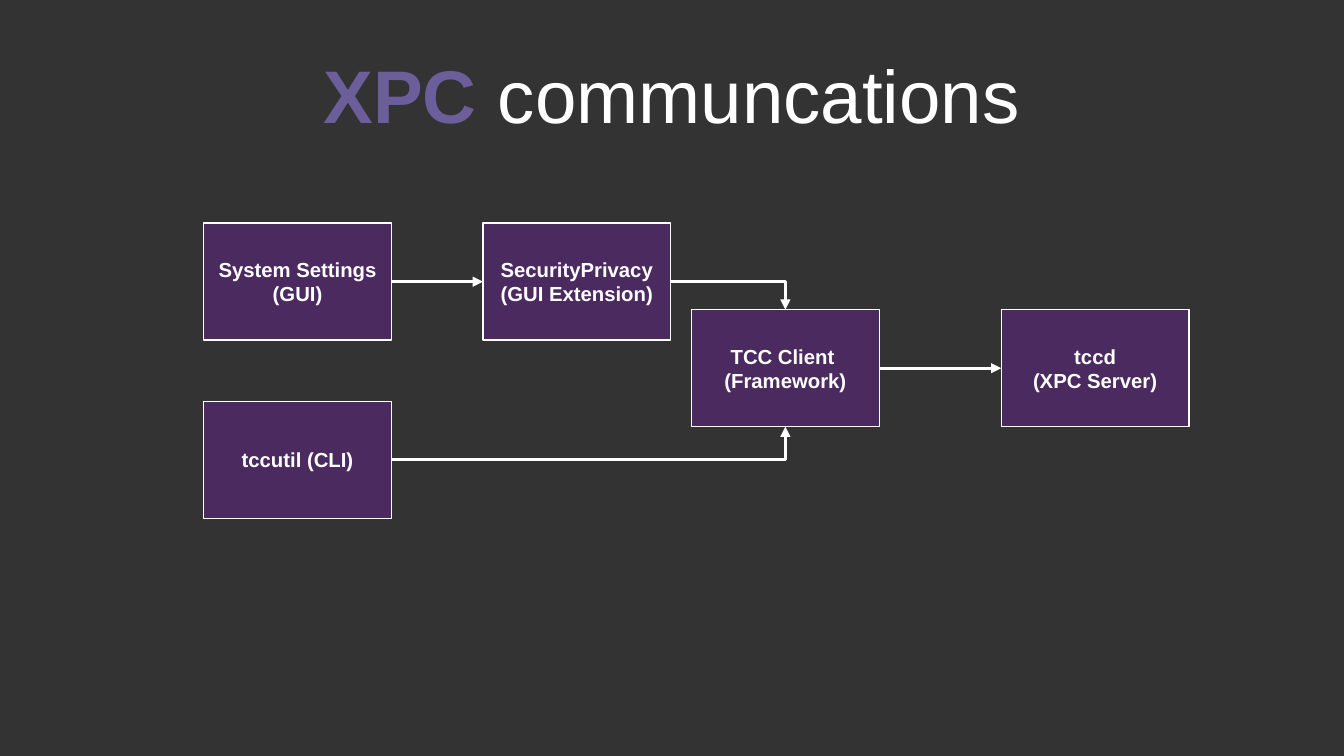
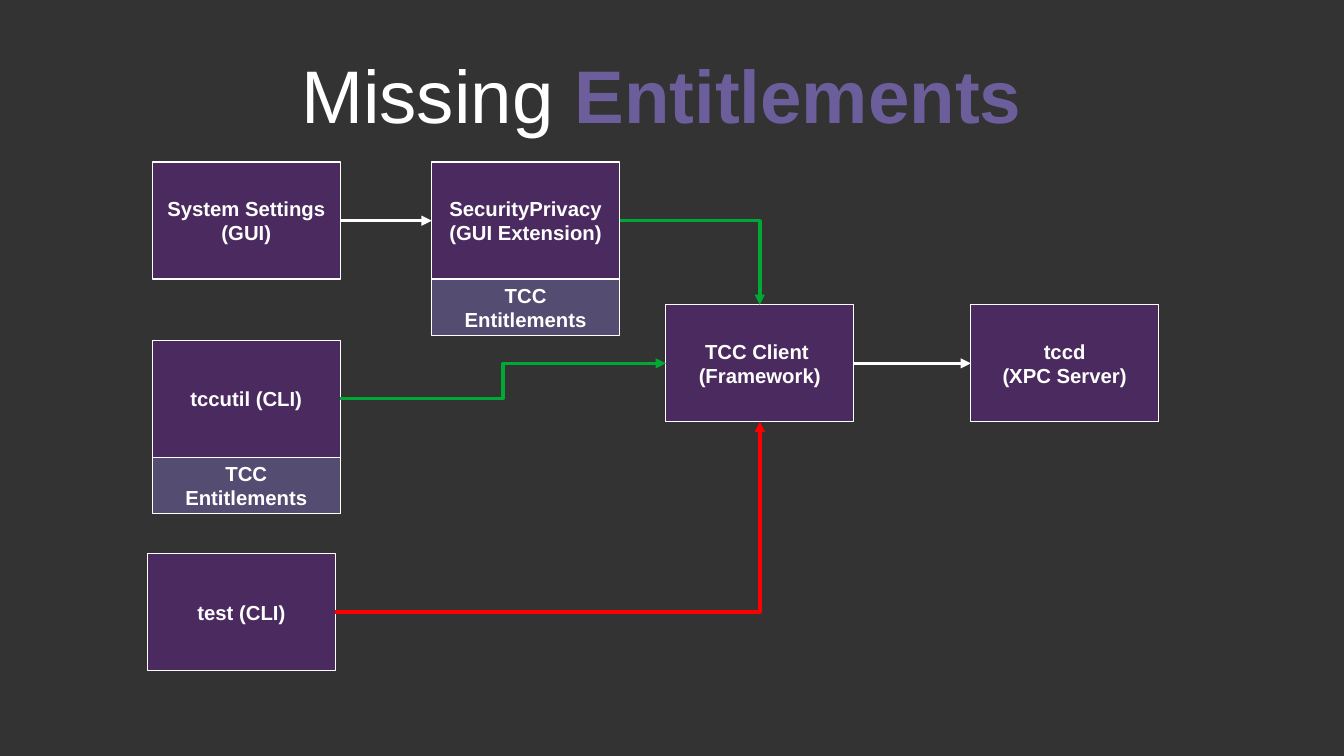
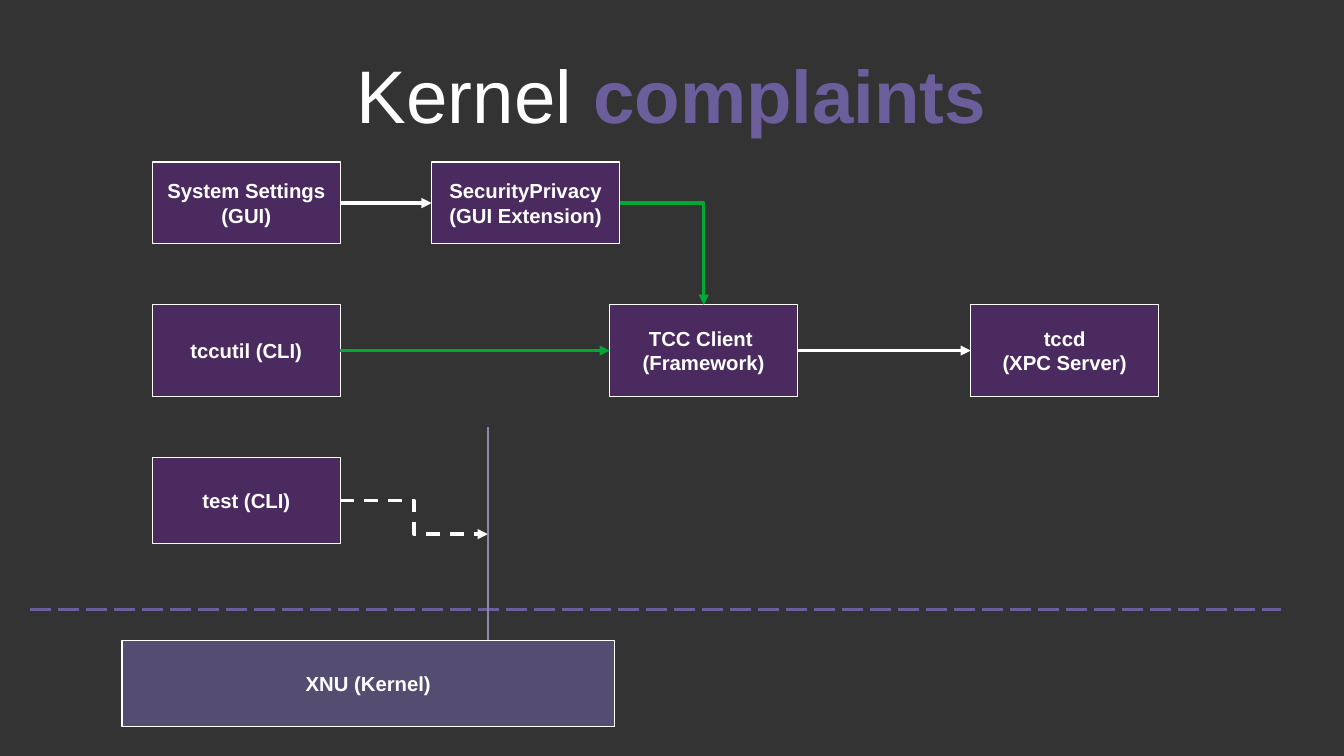
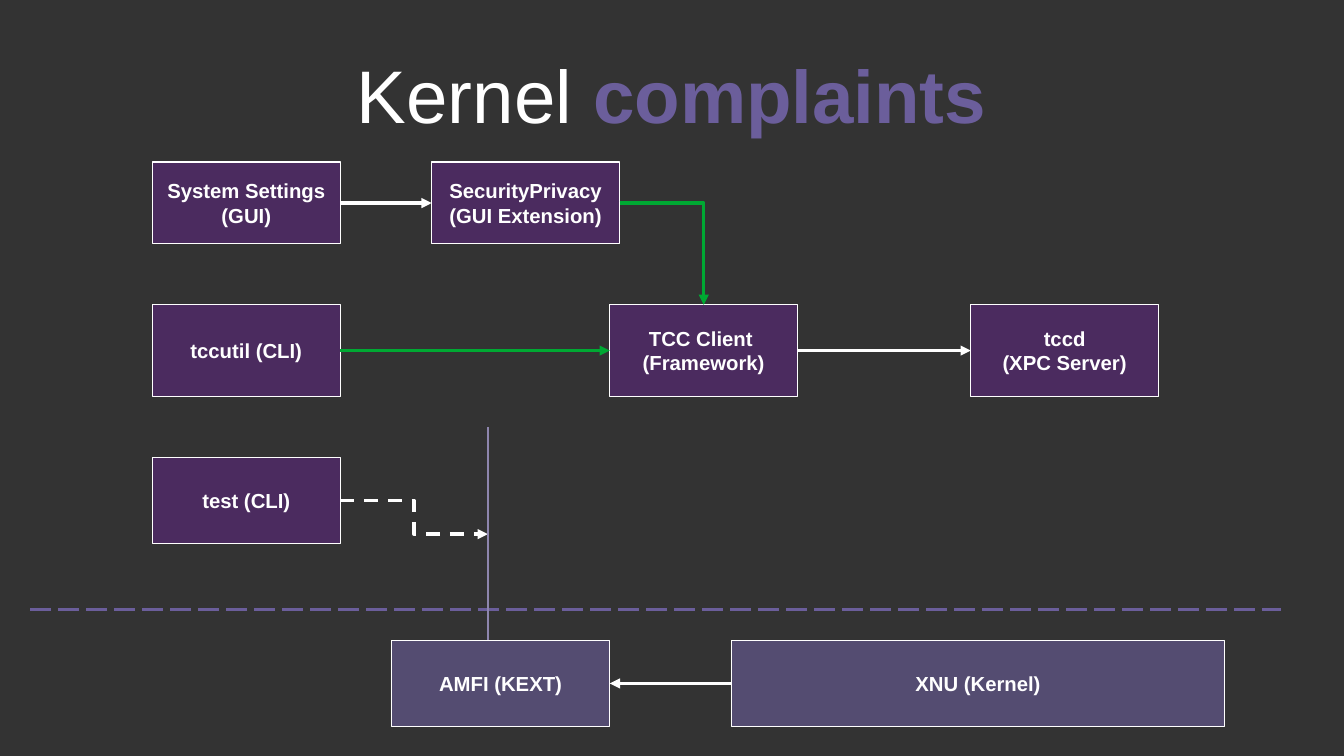
from dataclasses import dataclass
from enum import IntEnum
from typing import Any, NamedTuple, Optional

from lxml.etree import SubElement
from pptx import Presentation
from pptx.dml.color import RGBColor
from pptx.enum.dml import MSO_LINE
from pptx.enum.shapes import MSO_CONNECTOR, MSO_SHAPE
from pptx.enum.text import MSO_ANCHOR, MSO_AUTO_SIZE, PP_ALIGN
from pptx.oxml.ns import qn
from pptx.util import Inches, Pt


@dataclass(frozen=True)
class Theme:
    back: str = "333333"
    text: str = "FFFFFF"
    accent: str = "6B5E9B"
    box: str = "5B277D"
    wall: str = "8E86AE"
    good: str = "00A933"
    bad: str = "FF0000"
    alpha: int = 60
    font: str = "Arial"
    head: float = 44
    label: float = 12
    hair: float = 0
    rule: float = 1.5


THEME = Theme()
WIDTH = 1.54


class Side(IntEnum):
    TOP = 0
    LEFT = 1
    BOTTOM = 2
    RIGHT = 3


class Spot(NamedTuple):
    x: float
    y: float


class Part(NamedTuple):
    text: str
    strong: bool = False


@dataclass(frozen=True)
class Node:
    key: str
    x: float
    y: float
    high: float = 0.96
    wide: float = WIDTH
    fill: str = THEME.box

    def spot(self, side: Side) -> Spot:
        mid = Spot(self.x + self.wide / 2, self.y + self.high / 2)
        return {
            Side.TOP: Spot(mid.x, self.y),
            Side.LEFT: Spot(self.x, mid.y),
            Side.BOTTOM: Spot(mid.x, self.y + self.high),
            Side.RIGHT: Spot(self.x + self.wide, mid.y),
        }[side]


@dataclass(frozen=True)
class Link:
    start: str
    end: Optional[str] = None
    into: Side = Side.LEFT
    out: Side = Side.RIGHT
    color: str = THEME.text
    dash: Optional[MSO_LINE] = None
    stop: Spot = Spot(0, 0)


@dataclass(frozen=True)
class Rule:
    start: Spot
    end: Spot
    color: str
    dash: Optional[MSO_LINE] = None


@dataclass(frozen=True)
class Page:
    title: list[Part]
    nodes: list[Node]
    links: list[Link]
    rules: tuple[Rule, ...] = ()


LABELS = {
    "app": "System Settings (GUI)",
    "util": "tccutil (CLI)",
    "pane": "SecurityPrivacy (GUI Extension)",
    "client": "TCC Client \n(Framework)",
    "server": "tccd\n(XPC Server)",
    "test": "test (CLI)",
    "pane right": "TCC Entitlements",
    "util right": "TCC Entitlements",
    "core": "XNU (Kernel)",
    "guard": "AMFI (KEXT)",
}

BASE = [Link("app", "pane"), Link("client", "server")]


def apply(item: Any, style: dict[str, Any]) -> None:
    for name, value in style.items():
        setattr(item, name, value)


def paint(run: Any, size: float, bold: bool, color: str) -> None:
    apply(run.font, {"name": THEME.font, "size": Pt(size), "bold": bold})
    run.font.color.rgb = RGBColor.from_string(color)


def stroke(line: Any, color: str, width: float, dash: Optional[MSO_LINE] = None) -> None:
    line.color.rgb = RGBColor.from_string(color)
    line.width = Pt(width)
    if dash is not None:
        line.dash_style = dash


def add_box(slide: Any, node: Node) -> Any:
    shape = slide.shapes.add_shape(
        MSO_SHAPE.RECTANGLE,
        Inches(node.x), Inches(node.y), Inches(node.wide), Inches(node.high),
    )
    shape.shadow.inherit = False
    shape.fill.solid()
    shape.fill.fore_color.rgb = RGBColor.from_string(node.fill)
    tint = shape._element.spPr.find(qn("a:solidFill"))[0]
    SubElement(tint, qn("a:alpha"), val=str(THEME.alpha * 1000))
    stroke(shape.line, THEME.text, THEME.hair)
    frame = shape.text_frame
    apply(frame, {"word_wrap": True, "vertical_anchor": MSO_ANCHOR.MIDDLE})
    frame.text = LABELS[node.key]
    for para in frame.paragraphs:
        para.alignment = PP_ALIGN.CENTER
        for run in para.runs:
            paint(run, THEME.label, True, THEME.text)
    return shape


def add_line(slide: Any, kind: MSO_CONNECTOR, start: Spot, end: Spot) -> Any:
    line = slide.shapes.add_connector(
        kind, Inches(start.x), Inches(start.y), Inches(end.x), Inches(end.y)
    )
    return line


def no_shadow(line: Any) -> None:
    SubElement(line._element.spPr, qn("a:effectLst"))


def add_link(slide: Any, link: Link, nodes: dict[str, Node], boxes: dict[str, Any]) -> None:
    start = nodes[link.start].spot(link.out)
    end = nodes[link.end].spot(link.into) if link.end else link.stop
    level = abs(start.y - end.y) < 0.01
    kind = MSO_CONNECTOR.STRAIGHT if level else MSO_CONNECTOR.ELBOW
    line = add_line(slide, kind, start, end)
    if link.into in (Side.TOP, Side.BOTTOM):
        line._element.spPr.find(qn("a:prstGeom")).set("prst", "bentConnector2")
    line.begin_connect(boxes[link.start], link.out)
    if link.end:
        line.end_connect(boxes[link.end], link.into)
    stroke(line.line, link.color, THEME.hair, link.dash)
    SubElement(line._element.spPr.find(qn("a:ln")), qn("a:tailEnd"), type="triangle")
    no_shadow(line)


def add_rule(slide: Any, rule: Rule) -> None:
    line = add_line(slide, MSO_CONNECTOR.STRAIGHT, rule.start, rule.end)
    stroke(line.line, rule.color, THEME.rule, rule.dash)
    no_shadow(line)


def add_page(deck: Any, layout: Any, page: Page) -> None:
    slide = deck.slides.add_slide(layout)
    para = slide.shapes.title.text_frame.paragraphs[0]
    para.alignment = PP_ALIGN.CENTER
    for part in page.title:
        run = para.add_run()
        run.text = part.text
        paint(run, THEME.head, part.strong, THEME.accent if part.strong else THEME.text)
    nodes = {node.key: node for node in page.nodes}
    boxes = {key: add_box(slide, node) for key, node in nodes.items()}
    for link in page.links:
        add_link(slide, link, nodes, boxes)
    for rule in page.rules:
        add_rule(slide, rule)


def set_up(deck: Any) -> Any:
    apply(deck, {"slide_width": Inches(11.02), "slide_height": Inches(6.2)})
    fill = deck.slide_master.background.fill
    fill.solid()
    fill.fore_color.rgb = RGBColor.from_string(THEME.back)
    layout = deck.slide_layouts[5]
    title = layout.placeholders[0]
    apply(title, {
        "left": Inches(0.55), "top": Inches(0.25),
        "width": Inches(9.92), "height": Inches(1.04),
    })
    sides = ("left", "top", "right", "bottom")
    apply(title.text_frame, {f"margin_{side}": 0 for side in sides})
    apply(title.text_frame, {
        "vertical_anchor": MSO_ANCHOR.MIDDLE,
        "auto_size": MSO_AUTO_SIZE.NONE,
        "word_wrap": True,
    })
    return layout


def talk_page() -> Page:
    return Page(
        [Part("XPC ", True), Part("communcations")],
        [
            Node("app", 1.67, 1.83), Node("util", 1.67, 3.29), Node("pane", 3.96, 1.83),
            Node("client", 5.67, 2.54), Node("server", 8.21, 2.54),
        ],
        BASE + [Link("util", "client", Side.BOTTOM), Link("pane", "client", Side.TOP)],
    )


def rights_page() -> Page:
    pane, util = Node("pane", 3.54, 1.33), Node("util", 1.25, 2.79)
    rights = [
        Node(f"{host.key} right", host.x, host.y + host.high, 0.46, fill=THEME.accent)
        for host in (pane, util)
    ]
    return Page(
        [Part("Missing"), Part(" Entitlements ", True)],
        [
            Node("app", 1.25, 1.33), util, pane, Node("client", 5.46, 2.5),
            Node("server", 7.96, 2.5), *rights, Node("test", 1.21, 4.54),
        ],
        BASE + [
            Link("util", "client", color=THEME.good),
            Link("pane", "client", Side.TOP, color=THEME.good),
            Link("test", "client", Side.BOTTOM, color=THEME.bad),
        ],
    )


def core_page(nodes: list[Node], links: list[Link]) -> Page:
    return Page(
        [Part("Kernel"), Part(" complaints", True)],
        [
            Node("app", 1.25, 1.33, 0.67), Node("util", 1.25, 2.5, 0.75),
            Node("pane", 3.54, 1.33, 0.67), Node("client", 5, 2.5, 0.75),
            Node("server", 7.96, 2.5, 0.75), Node("test", 1.25, 3.75, 0.71), *nodes,
        ],
        BASE + [
            Link("util", "client", color=THEME.good),
            Link("pane", "client", Side.TOP, color=THEME.good),
            Link("test", dash=MSO_LINE.DASH, stop=Spot(4, 4.38)),
            *links,
        ],
        (
            Rule(Spot(0.25, 5), Spot(10.5, 5), THEME.accent, MSO_LINE.LONG_DASH),
            Rule(Spot(4, 3.5), Spot(4, 5.25), THEME.wall),
        ),
    )


def core_node(key: str, x: float, wide: float) -> Node:
    return Node(key, x, 5.25, 0.71, wide, THEME.accent)


def main() -> None:
    deck = Presentation()
    layout = set_up(deck)
    pages = [
        talk_page(),
        rights_page(),
        core_page([core_node("core", 1, 4.04)], []),
        core_page(
            [core_node("core", 6, 4.04), core_node("guard", 3.21, 1.79)],
            [Link("core", "guard", Side.RIGHT, Side.LEFT)],
        ),
    ]
    for page in pages:
        add_page(deck, layout, page)
    deck.save("out.pptx")


if __name__ == "__main__":
    main()
